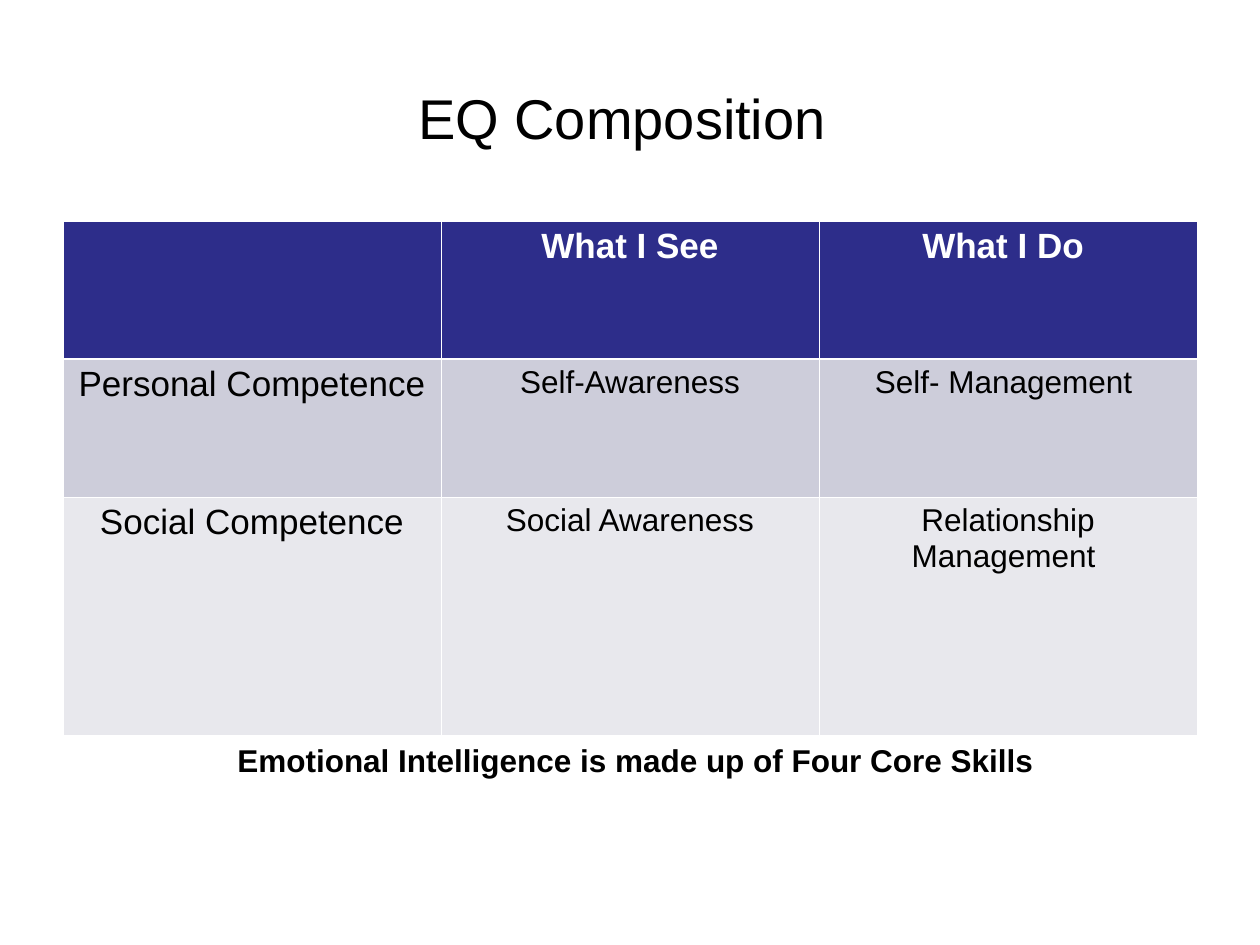
from lxml import etree
from pptx import Presentation
from pptx.dml.color import RGBColor
from pptx.enum.text import MSO_ANCHOR, PP_ALIGN
from pptx.oxml.ns import qn
from pptx.util import Pt

CENTER = PP_ALIGN.CENTER
MIDDLE = MSO_ANCHOR.MIDDLE
BLACK = RGBColor(0x00, 0x00, 0x00)
WHITE = RGBColor(0xFF, 0xFF, 0xFF)
NAVY = RGBColor(0x2D, 0x2D, 0x8A)
LAVENDER = RGBColor(0xCD, 0xCD, 0xDA)
PALE = RGBColor(0xE8, 0xE8, 0xED)
THIN, THICK = Pt(0.45), Pt(1.47)


def px(count):
    return count * 914400 // 126


def write(frame, text, size, color, bold=False):
    frame.text = text
    para = frame.paragraphs[0]
    para.alignment = CENTER
    for span in para.runs:
        span.font.name = "Arial"
        span.font.size = Pt(size)
        span.font.bold = bold
        span.font.color.rgb = color


deck = Presentation()
deck.slide_width, deck.slide_height = px(1260), px(945)
page = deck.slides.add_slide(deck.slide_layouts[5])

# Title
title = page.shapes.title
title.left, title.top, title.width, title.height = px(63), px(38), px(1134), px(158)
title.text_frame.vertical_anchor = MIDDLE
write(title.text_frame, "EQ Composition ", 32, BLACK)

# Competence table
rows = [
    (138, NAVY, ["", "What I See", "What I Do "]),
    (138, LAVENDER, ["Personal Competence", "Self-Awareness", "Self- Management "]),
    (238, PALE, ["Social Competence", "Social Awareness", "Relationship Management "]),
]
table = page.shapes.add_table(3, 3, px(63), px(221), px(1134), px(514)).table
for column in table.columns:
    column.width = px(378)

for row_index, (height, fill, labels) in enumerate(rows):
    table.rows[row_index].height = px(height)
    header = row_index == 0
    for column_index, label in enumerate(labels):
        cell = table.cell(row_index, column_index)
        cell.fill.solid()
        cell.fill.fore_color.rgb = fill
        size = 20 if header or column_index == 0 else 18
        write(cell.text_frame, label, size, WHITE if header else BLACK, header)

        # White cell borders, thicker under the header row
        borders = {
            "a:lnL": THIN,
            "a:lnR": THIN,
            "a:lnT": THICK if row_index == 1 else THIN,
            "a:lnB": THICK if header else THIN,
        }
        properties = cell._tc.get_or_add_tcPr()
        for position, (side, width) in enumerate(borders.items()):
            line = etree.Element(qn(side), w=str(width))
            solid = etree.SubElement(line, qn("a:solidFill"))
            etree.SubElement(solid, qn("a:srgbClr"), val=str(WHITE))
            properties.insert(position, line)

# Caption below the table
caption = page.shapes.add_textbox(px(94), px(735), px(1092), px(50))
caption.text_frame.word_wrap = True
write(caption.text_frame, "Emotional Intelligence is made up of Four Core Skills ", 18, BLACK, True)

deck.save("out.pptx")
